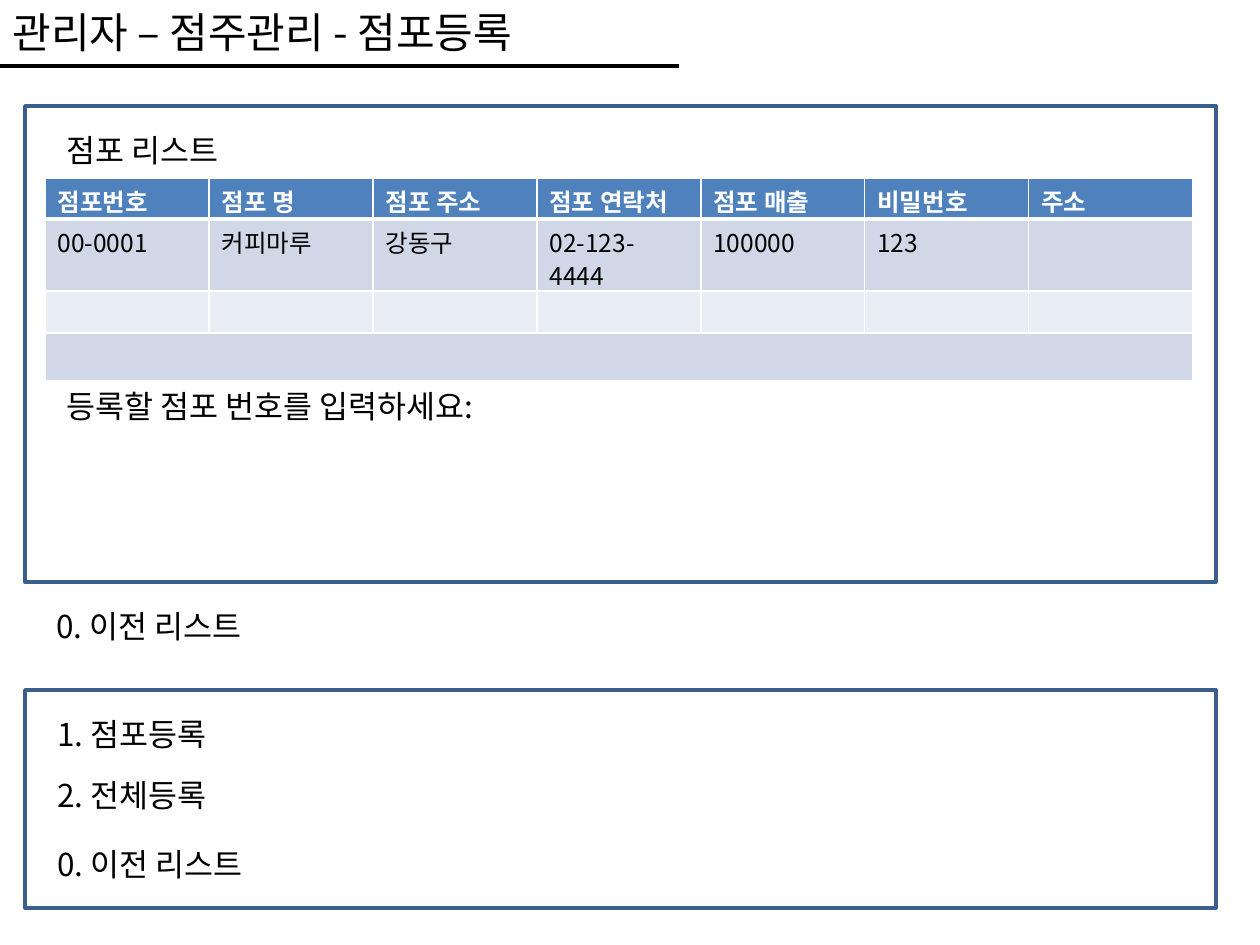
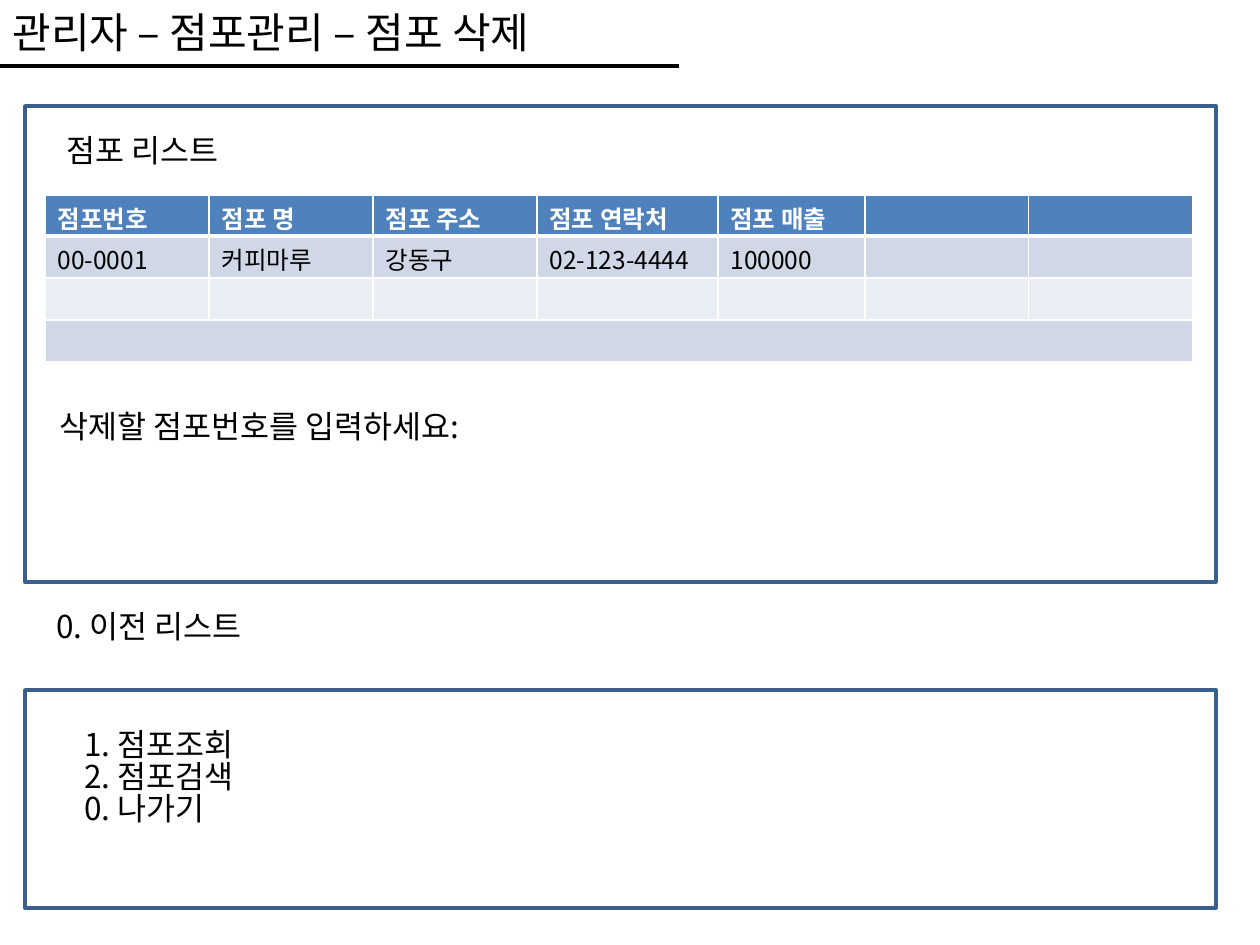
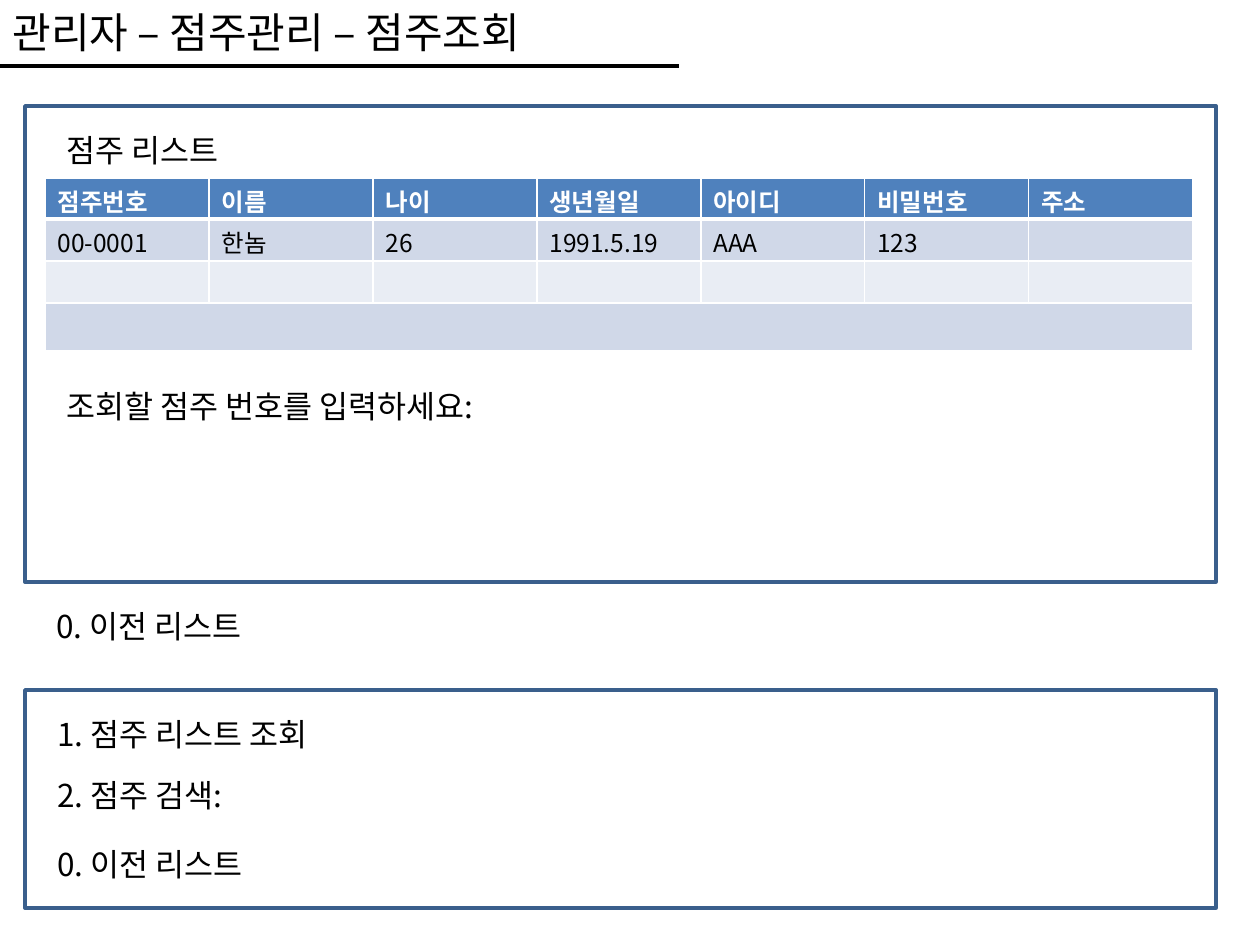
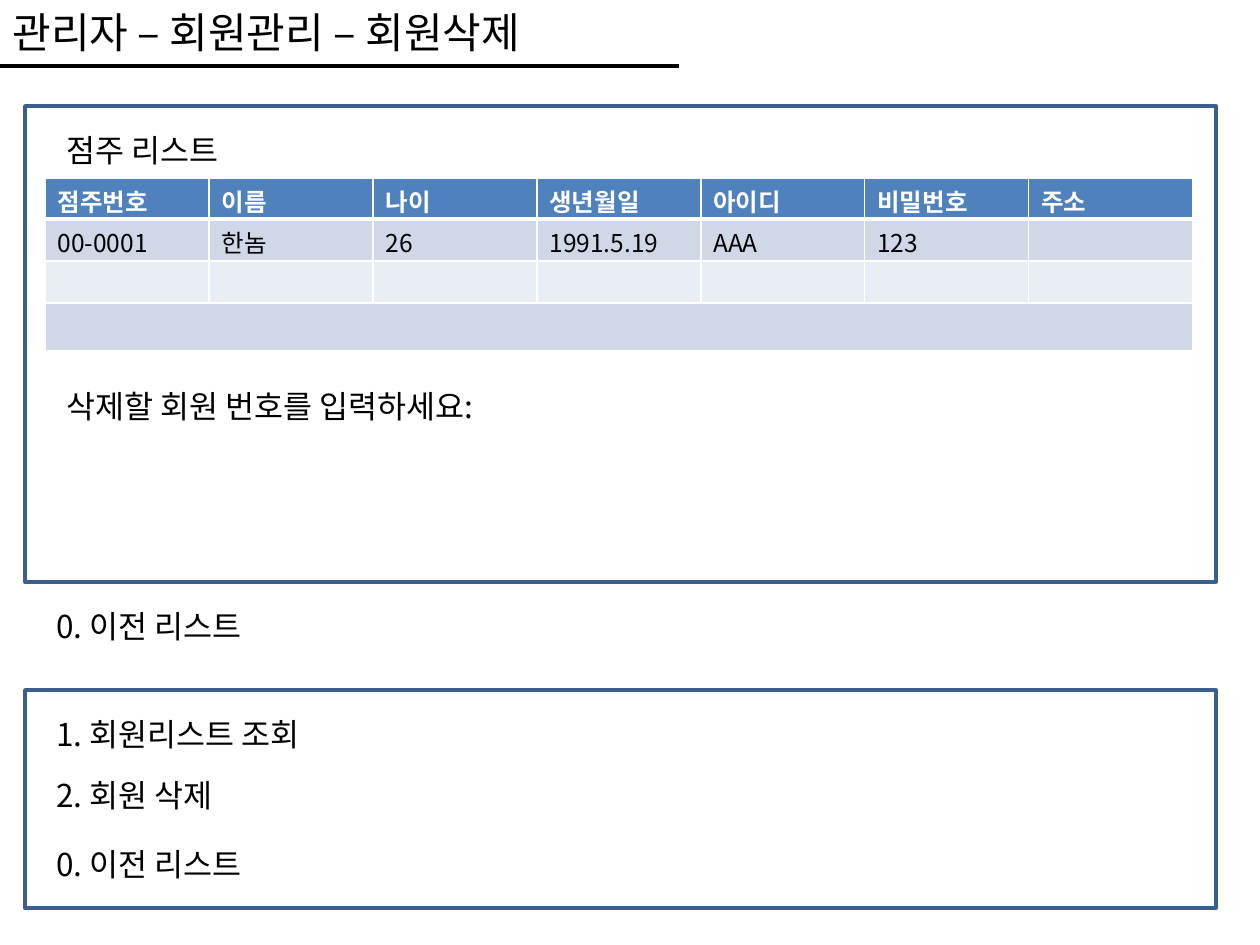
import pptx
import pptx.util
import pptx.dml.color
import pptx.enum.shapes
import pptx.enum.text
import pptx.oxml.ns
import lxml.etree
from dataclasses import dataclass

PX = 914400 // 126


@dataclass(frozen=True)
class Theme:
    """Colours, font and type sizes shared by the slides."""
    font: str = "Noto Sans CJK KR"
    ink: str = "000000"
    white: str = "FFFFFF"
    frame: str = "3A5F8C"
    header: str = "4F81BD"
    band: str = "D0D8E8"
    light_band: str = "E9EDF4"
    title: int = 24
    body: int = 18
    cell: int = 14


T = Theme()
rgb = pptx.dml.color.RGBColor.from_string
qn = pptx.oxml.ns.qn


def add_run(p, text, size, color=T.ink, bold=False):
    """Add one styled run, for Latin and Korean letters alike."""
    r = p.add_run()
    r.text = text
    r.font.size = pptx.util.Pt(size)
    r.font.bold = bold
    r.font.color.rgb = rgb(color)
    r.font.name = T.font
    ea = lxml.etree.SubElement(r.font._element, qn("a:ea"))
    ea.set("typeface", T.font)


def add_text(s, x, y, w, h, lines, size=T.body, spacing=None):
    """Add a text box with one paragraph per line."""
    tf = s.shapes.add_textbox(x * PX, y * PX, w * PX, h * PX).text_frame
    tf.word_wrap = True
    tf.auto_size = pptx.enum.text.MSO_AUTO_SIZE.SHAPE_TO_FIT_TEXT
    for i, line in enumerate(lines):
        p = tf.paragraphs[0] if i == 0 else tf.add_paragraph()
        if spacing:
            p.line_spacing = spacing
        add_run(p, line, size)


store_head = ["점포번호", "점포 명", "점포 주소", "점포 연락처", "점포 매출"]
store_row = ["00-0001", "커피마루", "강동구", "02-123-4444", "100000"]
owner_head = ["점주번호", "이름", "나이", "생년월일", "아이디", "비밀번호", "주소"]
owner_row = ["00-0001", "한놈", "26", "1991.5.19", "AAA", "123"]
even_cols = [164] * 7
owner_table = dict(top=178, cols=even_cols, rows=[41, 42, 42, 48],
                   cells=[owner_head, owner_row])
menu_tops = [709, 770, 839]

screens = [
    dict(title="관리자 – 점주관리 - 점포등록", heading="점포 리스트",
         table=dict(top=178, cols=even_cols, rows=[41, 72, 42, 48],
                    cells=[store_head + ["비밀번호", "주소"], store_row + ["123"]]),
         prompt=(54, 381, "등록할 점포 번호를 입력하세요:"),
         menu_x=45, menu=["1. 점포등록", "2. 전체등록", "0. 이전 리스트"]),
    dict(title="관리자 – 점포관리 – 점포 삭제", heading="점포 리스트",
         table=dict(top=195, cols=[164, 164, 164, 181, 147, 164, 164],
                    rows=[41, 42, 42, 42], cells=[store_head, store_row]),
         prompt=(47, 401, "삭제할 점포번호를 입력하세요:"),
         menu_x=None, menu=["1. 점포조회", "2. 점포검색", "0. 나가기"]),
    dict(title="관리자 – 점주관리 – 점주조회", heading="점주 리스트",
         table=owner_table,
         prompt=(54, 381, "조회할 점주 번호를 입력하세요:"),
         menu_x=45, menu=["1. 점주 리스트 조회", "2. 점주 검색:", "0. 이전 리스트"]),
    dict(title="관리자 – 회원관리 – 회원삭제", heading="점주 리스트",
         table=owner_table,
         prompt=(54, 381, "삭제할 회원 번호를 입력하세요:"),
         menu_x=44, menu=["1. 회원리스트 조회", "2. 회원 삭제", "0. 이전 리스트"]),
]

prs = pptx.Presentation()
prs.slide_width, prs.slide_height = 1260 * PX, 945 * PX

for screen in screens:
    s = prs.slides.add_slide(prs.slide_layouts[6])

    # Frames around the list and the menu
    for top, height in [(106, 476), (690, 218)]:
        sp = s.shapes.add_shape(pptx.enum.shapes.MSO_SHAPE.RECTANGLE,
                                25 * PX, top * PX, 1191 * PX, height * PX)
        sp.shadow.inherit = False
        sp.fill.background()
        sp.line.color.rgb = rgb(T.frame)
        sp.line.width = pptx.util.Pt(2)

    # Title and its rule
    rule = s.shapes.add_connector(pptx.enum.shapes.MSO_CONNECTOR.STRAIGHT,
                                  0, 66 * PX, 679 * PX, 66 * PX)
    rule.line.color.rgb = rgb(T.ink)
    rule.line.width = pptx.util.Pt(1.75)
    lxml.etree.SubElement(rule._element.spPr, qn("a:effectLst"))
    add_text(s, 0, 0, 1007, 63, [screen["title"]], T.title)

    # Table: header, one record, one empty row, one merged row
    spec = screen["table"]
    cols, rows, cells = spec["cols"], spec["rows"], spec["cells"]
    table = s.shapes.add_table(len(rows), len(cols), 45 * PX, spec["top"] * PX,
                               sum(cols) * PX, sum(rows) * PX).table
    table.horz_banding = False
    for col, width in zip(table.columns, cols):
        col.width = width * PX
    for i, height in enumerate(rows):
        table.rows[i].height = height * PX
        for j in range(len(cols)):
            cell = table.cell(i, j)
            cell.margin_top, cell.margin_bottom = 6 * PX, 0
            tcPr = cell._tc.get_or_add_tcPr()
            for side in "LRTB":
                thick = (i, side) in [(0, "B"), (1, "T")]
                ln = lxml.etree.SubElement(tcPr, qn("a:ln" + side))
                ln.set("w", str(pptx.util.Pt(3 if thick else 1)))
                fill = lxml.etree.SubElement(ln, qn("a:solidFill"))
                lxml.etree.SubElement(fill, qn("a:srgbClr")).set("val", T.white)
            cell.fill.solid()
            cell.fill.fore_color.rgb = rgb(
                [T.header, T.band, T.light_band, T.band][i])
            p = cell.text_frame.paragraphs[0]
            p.line_spacing = 0.95
            if i < len(cells) and j < len(cells[i]):
                add_run(p, cells[i][j], T.cell, T.ink if i else T.white, i == 0)
            else:
                end = lxml.etree.SubElement(p._p, qn("a:endParaRPr"))
                end.set("sz", str(T.cell * 100))
    table.cell(3, 0).merge(table.cell(3, len(cols) - 1))

    # List heading, prompt and way back
    add_text(s, 54, 125, 476, 50, [screen["heading"]])
    x, y, prompt = screen["prompt"]
    add_text(s, x, y, 605, 50, [prompt])
    add_text(s, 44, 601, 546, 50, ["0. 이전 리스트"])

    # Menu: one block, or items set apart
    if screen["menu_x"] is None:
        add_text(s, 72, 725, 536, 165, screen["menu"], spacing=0.84)
    else:
        for top, item in zip(menu_tops, screen["menu"]):
            add_text(s, screen["menu_x"], top, 546, 50, [item])

prs.save("out.pptx")
